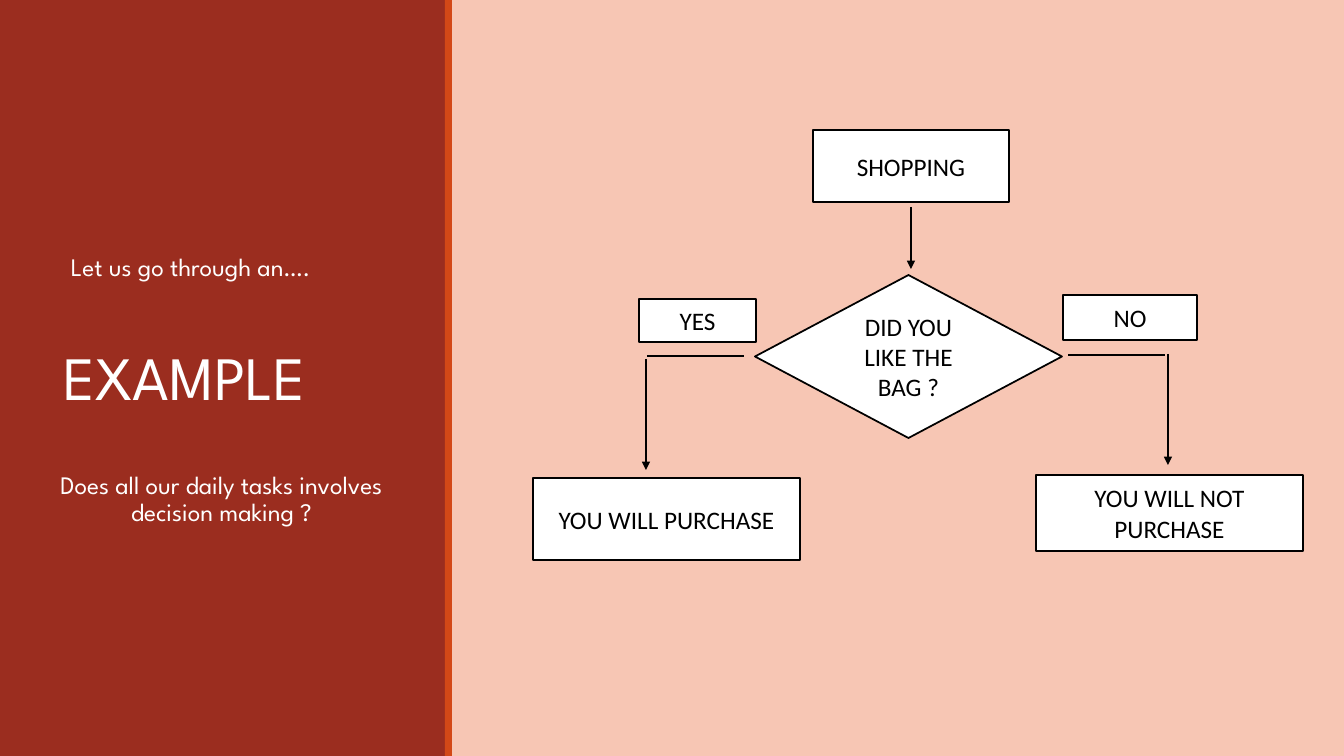
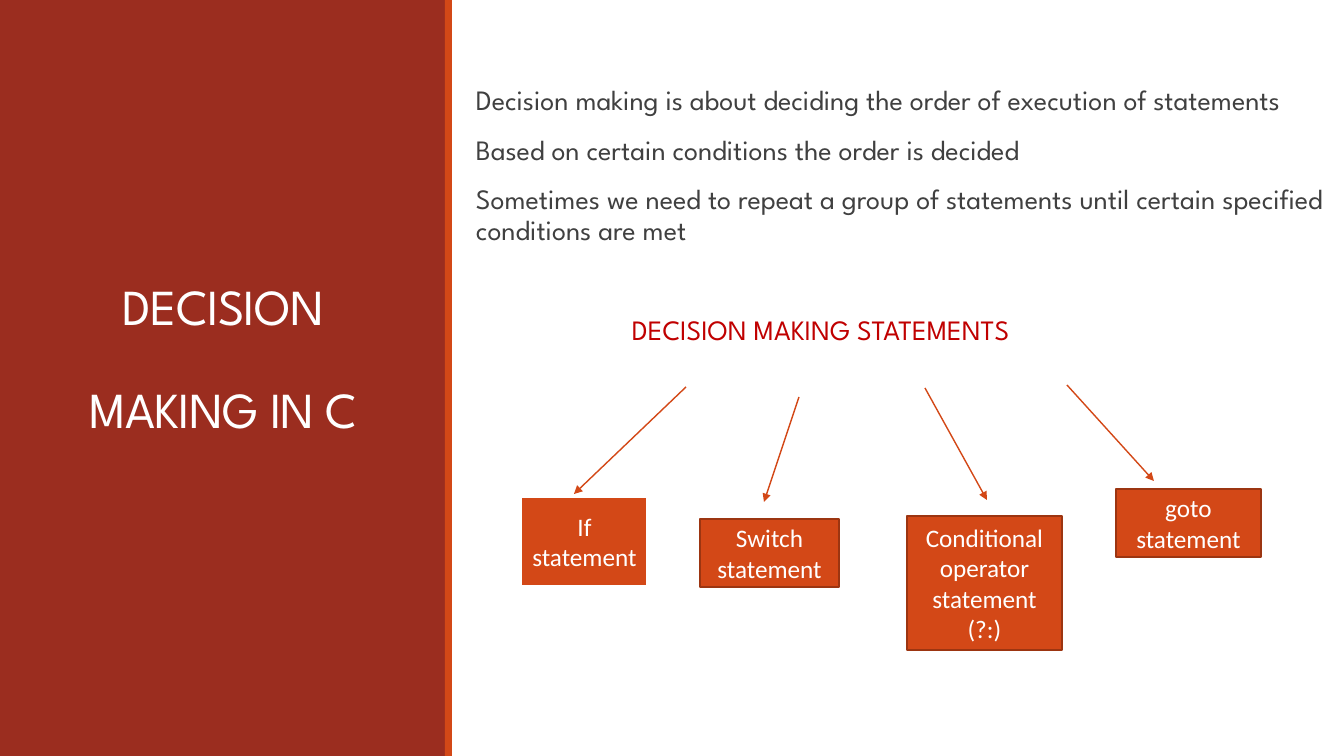
from lxml import etree
from pptx import Presentation
from pptx import util as u
from pptx.dml.color import RGBColor
from pptx.enum import shapes, text
from pptx.oxml.ns import qn

WIDTH, HEIGHT = 1344, 756
PANEL_W, BAND_X, BAND_W = 446, 445, 7
PANEL = (0, 0, PANEL_W, HEIGHT)
CONTENT = (BAND_X + BAND_W, 0, WIDTH - BAND_X - BAND_W, HEIGHT)

BRICK, ORANGE, RUST = "9B2D1F", "D34817", "9C3511"
PEACH, WHITE, BLACK = "F7C6B4", "FFFFFF", "000000"
GREY, RED = "404040", "C00000"
HEAD_FONT, BOX_FONT = "League Spartan", "Calibri"
ALIGN, ANCHOR, SHAPE = text.PP_ALIGN, text.MSO_ANCHOR, shapes.MSO_SHAPE


def px(n):
    """Turn px into EMU."""
    return u.Emu(round(n * 914400 / 100.8))


def rgb(color):
    """Turn a hex string into a colour."""
    return RGBColor.from_string(color)


def place(box, x, y, w, h):
    """Turn a rectangle relative to a box into EMU."""
    return px(box[0] + x), px(box[1] + y), px(w), px(h)


def style(p, font, size, color, align):
    """Set the font and alignment of a paragraph."""
    p.font.name, p.font.size = font, u.Pt(size)
    p.font.color.rgb = rgb(color)
    p.alignment = align


def add_box(s, box, rect, fill, line=None, width=1.25, label="", color=BLACK, kind=SHAPE.RECTANGLE):
    """Add a filled shape with an optional outline and centred label."""
    sp = s.shapes.add_shape(kind, *place(box, *rect))
    sp.shadow.inherit = False
    sp.fill.solid()
    sp.fill.fore_color.rgb = rgb(fill)
    if line:
        sp.line.color.rgb = rgb(line)
        sp.line.width = u.Pt(width)
    else:
        sp.line.fill.background()
    if label:
        tf = sp.text_frame
        tf.word_wrap, tf.vertical_anchor = True, ANCHOR.MIDDLE
        tf.text = label
        style(tf.paragraphs[0], BOX_FONT, 18, color, ALIGN.CENTER)


def add_text(s, box, rect, lines, size, color, align=ALIGN.LEFT, spacing=0.9,
             before=12, after=2, anchor=ANCHOR.TOP, tracking=None):
    """Add a text box with one paragraph for each line."""
    tf = s.shapes.add_textbox(*place(box, *rect)).text_frame
    tf.word_wrap, tf.vertical_anchor = True, anchor
    tf.margin_left = tf.margin_right = tf.margin_top = tf.margin_bottom = 0
    tf.text = "\n".join(lines)
    for p in tf.paragraphs:
        style(p, HEAD_FONT, size, color, align)
        p.line_spacing = spacing
        p.space_before, p.space_after = u.Pt(before), u.Pt(after)
        if tracking:
            p.runs[0]._r.get_or_add_rPr().set("spc", str(tracking))


def add_line(s, box, start, end, color, arrow=True):
    """Add a straight line, with an arrowhead at its end if wanted."""
    points = [px(box[i] + pt[i]) for pt in (start, end) for i in (0, 1)]
    cn = s.shapes.add_connector(shapes.MSO_CONNECTOR.STRAIGHT, *points)
    cn.line.color.rgb = rgb(color)
    cn.line.width = u.Pt(1)
    if arrow:
        etree.SubElement(cn.line._get_or_add_ln(), qn("a:tailEnd"), type="triangle")
    etree.SubElement(cn._element.spPr, qn("a:effectLst"))


def add_slide(prs, background):
    """Add a blank slide with its background, side panel and band."""
    s = prs.slides.add_slide(prs.slide_layouts[6])
    s.background.fill.solid()
    s.background.fill.fore_color.rgb = rgb(background)
    add_box(s, PANEL, PANEL, BRICK)
    add_box(s, PANEL, (BAND_X, 0, BAND_W, HEIGHT), ORANGE)
    return s


def example_intro(s, box):
    """Place the words of the example in the side panel."""
    add_text(s, box, (71, 255, 320, 30), ["Let us go through an…."], 18, WHITE)
    add_text(s, box, (63, 347, 330, 70), ["EXAMPLE"], 44, WHITE)
    add_text(s, box, (55, 473, 333, 60), ["Does all our daily tasks involves decision making ?"],
             18, WHITE, ALIGN.CENTER)


def shopping_flowchart(s, box):
    """Draw the shopping decision flowchart."""
    for label, rect, kind in (
        ("SHOPPING", (361, 130, 196, 72), SHAPE.RECTANGLE),
        ("DID YOU LIKE THE BAG ?", (303, 275, 307, 163), SHAPE.FLOWCHART_DECISION),
        ("YOU WILL PURCHASE", (81, 478, 267, 82), SHAPE.RECTANGLE),
        ("YOU WILL NOT PURCHASE", (584, 475, 267, 76), SHAPE.RECTANGLE),
        ("YES", (187, 299, 117, 43), SHAPE.RECTANGLE),
        ("NO", (611, 295, 134, 45), SHAPE.RECTANGLE),
    ):
        add_box(s, box, rect, WHITE, BLACK, label=label, kind=kind)
    for start, end, arrow in (
        ((459, 207), (459, 269), True),
        ((292, 356), (195, 356), False),
        ((713, 355), (616, 355), False),
        ((194, 359), (194, 470), True),
        ((716, 354), (716, 465), True),
    ):
        add_line(s, box, start, end, BLACK, arrow)


def panel_title(s, box, lines):
    """Place the slide title in the side panel."""
    add_text(s, box, (57, 190, 333, 249), lines, 36, WHITE, ALIGN.CENTER, 0.85,
             before=37, after=0, anchor=ANCHOR.BOTTOM, tracking=-50)


def decision_statements(s, box):
    """Place the explanation and the tree of decision statements."""
    add_text(s, box, (24, 86, 848, 170), [
        "Decision making is about deciding the order of execution of statements",
        "Based on certain conditions the order is decided",
        "Sometimes we need to repeat a group of statements until certain specified conditions are met",
    ], 20, GREY, ALIGN.JUSTIFY)
    add_text(s, box, (180, 316, 420, 32), ["DECISION MAKING STATEMENTS"], 20, RED)
    for label, rect, line, width, start, end in (
        ("If statement", (69, 497, 127, 89), WHITE, 2, (234, 387), (122, 494)),
        ("Switch statement", (248, 519, 139, 68), RUST, 1.25, (347, 397), (312, 502)),
        ("Conditional operator statement (?:)", (455, 516, 155, 134), RUST, 1.25, (473, 388), (535, 500)),
        ("goto statement", (664, 489, 145, 68), RUST, 1.25, (615, 385), (702, 481)),
    ):
        add_line(s, box, start, end, ORANGE)
        add_box(s, box, rect, ORANGE, line, width, label, WHITE)


def main():
    """Build and save the slides."""
    prs = Presentation()
    prs.slide_width, prs.slide_height = px(WIDTH), px(HEIGHT)
    s = add_slide(prs, PEACH)
    example_intro(s, PANEL)
    shopping_flowchart(s, CONTENT)
    s = add_slide(prs, WHITE)
    panel_title(s, PANEL, ["DECISION", "MAKING IN C"])
    decision_statements(s, CONTENT)
    prs.save("out.pptx")


if __name__ == "__main__":
    main()
